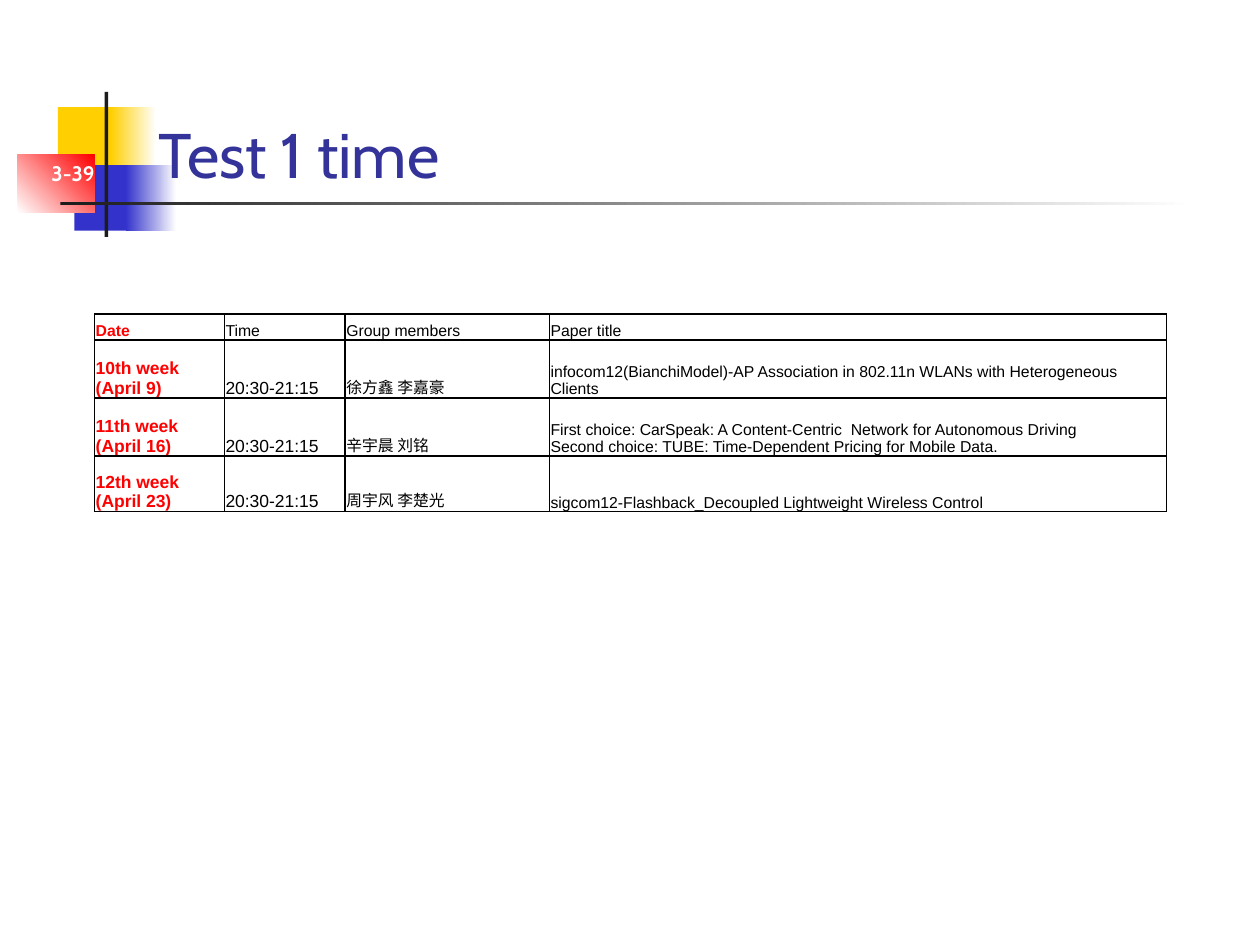
from pptx import Presentation
from pptx.dml.color import RGBColor
from pptx.enum.shapes import MSO_SHAPE as Shape
from pptx.enum.text import MSO_ANCHOR as Anchor, PP_ALIGN as Align
from pptx.oxml import parse_xml
from pptx.oxml.ns import nsdecls
from pptx.util import Inches, Pt

RED, BLACK, WHITE = "FF0000", "000000", "FFFFFF"
GOLD, BLUE, DARK, NAVY = "FFCF01", "3333CC", "1C1C1C", "333399"

BLOCKS = [
    (0.32, 0.12, 0.48, 0.52, [GOLD], 0),
    (0.74, 0.12, 0.36, 0.52, [GOLD, WHITE], 0),
    (0.45, 0.58, 0.46, 0.52, [BLUE], 0),
    (0.86, 0.58, 0.4, 0.52, [BLUE, WHITE], 0),
    (0, 0.5, 0.61, 0.46, [WHITE, RED], 45),
    (0.69, 0, 0.03, 1.15, [DARK], 0),
    (0.34, 0.87, 9, 0.03, [DARK, WHITE], 0),
]
COLS = [1.03, 0.96, 1.62, 4.9]
ROWS = [0.21, 0.46, 0.46, 0.44]
SLOT = "20:30-21:15"
HEAD = ["Date", "Time", "Group members", "Paper title"]
WEEKS = [
    ("10th week\n(April 9)", SLOT, "徐方鑫 李嘉豪",
     "infocom12(BianchiModel)-AP Association in 802.11n WLANs "
     "with Heterogeneous Clients"),
    ("11th week\n(April 16)", SLOT, "辛宇晨 刘铭",
     "First choice: CarSpeak: A Content-Centric  Network for Autonomous Driving\v"
     "Second choice: TUBE: Time-Dependent Pricing for Mobile Data."),
    ("12th week\n(April 23)", SLOT, "周宇风 李楚光",
     "sigcom12-Flashback_Decoupled Lightweight Wireless Control"),
]


def paint(color, tone):
    """Set a colour from a hex string."""
    color.rgb = RGBColor.from_string(tone)


def write(frame, text, size, tone, face, bold=False, align=Align.LEFT):
    """Write lines as paragraphs, with \\v as a line break."""
    for i, line in enumerate(text.split("\n")):
        para = frame.add_paragraph() if i else frame.paragraphs[0]
        para.alignment = align
        for j, part in enumerate(line.split("\v")):
            if j:
                para.add_line_break()
            run = para.add_run()
            run.text = part
            font = run.font
            font.name, font.size, font.bold = face, Pt(size), bold
            paint(font.color, tone)


def label(slide, box, text, size, tone, **style):
    """Add a bottom-anchored text box."""
    frame = slide.shapes.add_textbox(*map(Inches, box)).text_frame
    frame.word_wrap = True
    frame.vertical_anchor = Anchor.BOTTOM
    write(frame, text, size, tone, "Cabin", **style)


def emblem(slide, left, top):
    """Draw the coloured blocks and crossing bars."""
    for x, y, wide, high, tones, angle in BLOCKS:
        block = slide.shapes.add_shape(
            Shape.RECTANGLE, Inches(left + x), Inches(top + y),
            Inches(wide), Inches(high))
        block.shadow.inherit = False
        block.line.fill.background()
        fill = block.fill
        if len(tones) == 1:
            fill.solid()
            paint(fill.fore_color, tones[0])
        else:
            fill.gradient()
            fill.gradient_angle = angle
            for stop, tone in zip(fill.gradient_stops, tones):
                paint(stop.color, tone)


def edge(cell):
    """Give a cell thin black borders, placed before its fill."""
    props = cell._tc.get_or_add_tcPr()
    for i, side in enumerate(("lnL", "lnR", "lnT", "lnB")):
        props.insert(i, parse_xml(
            f'<a:{side} {nsdecls("a")} w="{Pt(1)}"><a:solidFill>'
            f'<a:srgbClr val="{BLACK}"/></a:solidFill></a:{side}>'))


def schedule(slide, left, top):
    """Place the table of test dates."""
    table = slide.shapes.add_table(
        len(ROWS), len(COLS), Inches(left), Inches(top),
        Inches(sum(COLS)), Inches(sum(ROWS))).table
    for col, wide in zip(table.columns, COLS):
        col.width = Inches(wide)
    for row, high in zip(table.rows, ROWS):
        row.height = Inches(high)
    for r, texts in enumerate([HEAD, *WEEKS]):
        for c, text in enumerate(texts):
            cell = table.cell(r, c)
            cell.margin_left = cell.margin_right = cell.margin_top = Inches(0.01)
            cell.margin_bottom = 0
            cell.vertical_anchor = Anchor.BOTTOM
            cell.fill.solid()
            paint(cell.fill.fore_color, WHITE)
            edge(cell)
            write(cell.text_frame, text, 10 if r and c < 2 else 9,
                  BLACK if c else RED, "Arial", bold=c == 0)


def main():
    """Build and save the slide."""
    deck = Presentation()
    deck.slide_width, deck.slide_height = Inches(10), Inches(7.5)
    slide = deck.slides.add_slide(deck.slide_layouts[6])
    emblem(slide, 0.14, 0.73)
    label(slide, (1.16, 0.53, 8.52, 1.04), "Test 1 time", 36, NAVY)
    label(slide, (0, 1.02, 0.85, 0.5), "3-39", 12, WHITE,
          bold=True, align=Align.RIGHT)
    schedule(slide, 0.75, 2.49)
    deck.save("out.pptx")


if __name__ == "__main__":
    main()
